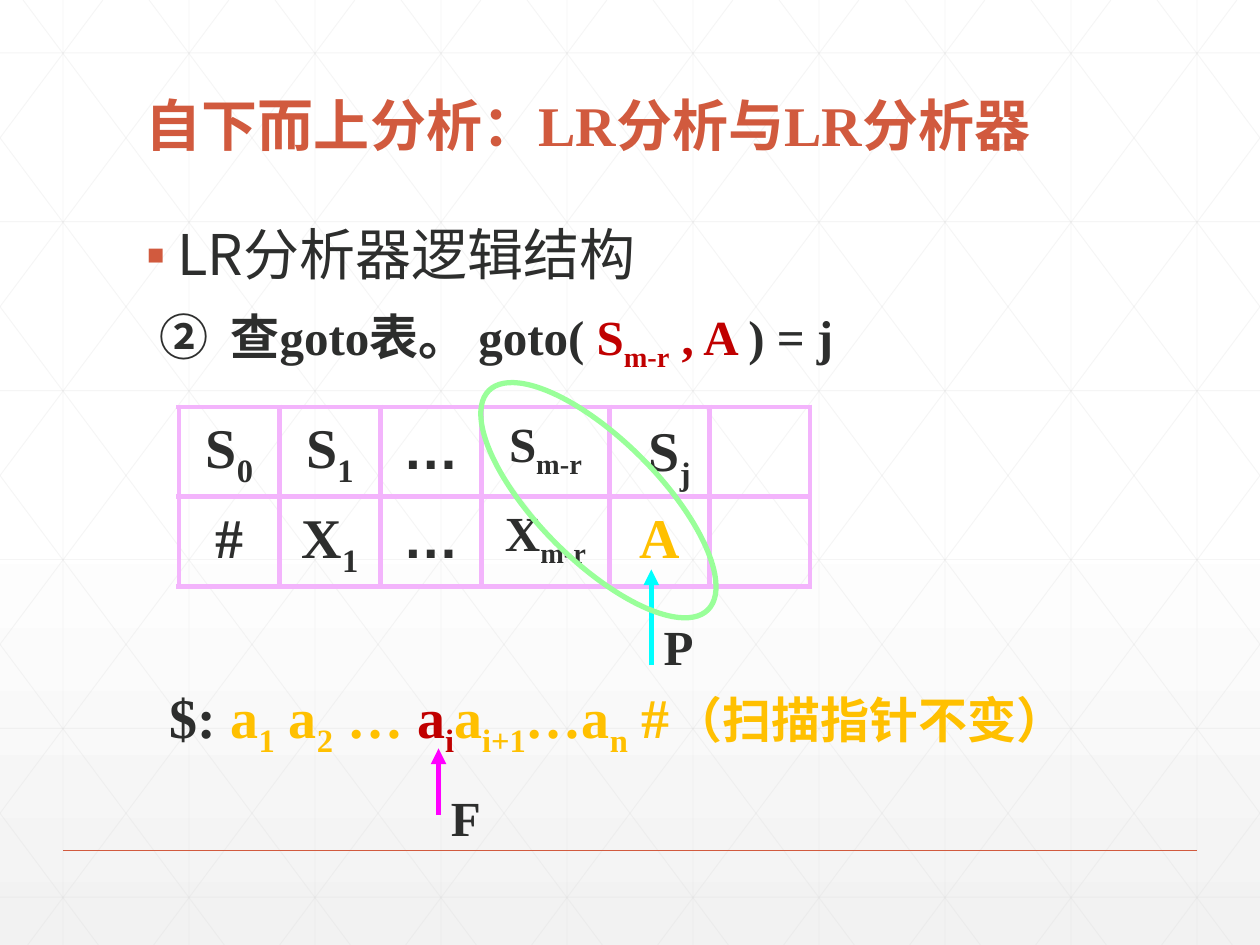
import pptx
import pptx.util
import pptx.dml.color
import pptx.enum.text
import pptx.enum.shapes
import pptx.oxml.ns
import pptx.oxml.xmlchemy

Pt = pptx.util.Pt
ALIGN = pptx.enum.text.PP_ALIGN
ANCHOR = pptx.enum.text.MSO_ANCHOR
WIDE, HIGH = 720, 540

THEME = {
    "ink": "2D2E2D", "rust": "D15A3E", "gold": "FFC000", "red": "C00000",
    "grid": "D9D9D9", "pink": "F3B4FC", "cyan": "00FFFF", "rose": "FF00FF",
    "lime": "99FF99", "white": "FFFFFF", "mist": "F2F2F2",
    "serif": "Times New Roman", "sans": "Noto Sans CJK SC", "dots": "Arial",
    "big": 32, "mid": 28,
}

# Run flags: each changes part of the base style
BASE = {"size": "big", "color": "ink", "name": "serif", "bold": True, "sub": False}
FLAGS = {
    "mid": {"size": "mid"}, "sub": {"sub": True}, "light": {"bold": False},
    "sans": {"name": "sans"}, "dots": {"name": "dots"},
    "gold": {"color": "gold"}, "red": {"color": "red"}, "rust": {"color": "rust"},
}

# Content: runs are (text, flags)
TITLE = [("自下而上分析：LR分析与LR分析器", "rust")]
POINT = [("LR分析器逻辑结构", "sans light")]
STEP = [("②  ", "mid"), ("查", "mid sans"), ("goto", "mid"), ("表", "mid sans"),
        ("。 goto( ", "mid"), ("S", "mid red"), ("m-r", "mid red sub"),
        (" , A ", "mid red"), (") = j", "mid")]
INPUT = [("$: ", ""), ("a", "gold"), ("1", "gold sub"), (" a", "gold"),
         ("2", "gold sub"), (" … ", "gold"), ("a", "red"), ("i", "red sub"),
         ("a", "gold"), ("i+1", "gold sub"), ("…a", "gold"), ("n", "gold sub"),
         (" #\t", "gold"), ("（扫描指针不变）", "gold mid")]
DOTS = [("…", "dots")]
STACK = [
    [[("S", ""), ("0", "sub")], [(" S", ""), ("1", "sub")], DOTS,
     [("S", "mid"), ("m-r", "mid sub")], [], []],
    [[("#", "")], [("X", ""), ("1", "sub")], DOTS,
     [("X", "mid"), ("m-r", "mid sub")], [("A", "gold")], []],
]
COLS = [57.6, 57.6, 57.6, 73.4, 56.9, 57.6]
ROW = 51.2

TIGHT = (7.2, 0.7, 7.2, 0)
LOW = (7.2, 6.5, 7.2, 0.7)
PLAIN = (7.2, 3.6, 7.2, 3.6)

# Text boxes: runs, place, insets, paragraph format
BOXES = [
    (TITLE, (76.3, 39.6, 567.4, 54.7), PLAIN, {"line_spacing": 0.9}),
    (POINT, (76.3, 126, 567.4, 60), PLAIN, {"line_spacing": 0.9, "space_before": Pt(18)}),
    (INPUT, (90, 389.5, 617.8, 39.6), TIGHT, {}),
    ([("F", "mid")], (250.6, 443.5, 40.3, 41), LOW, {}),
    ([("P", "mid")], (372.2, 345.6, 40.3, 41), LOW, {}),
    (STEP, (84.2, 174.2, 616.3, 34.6), TIGHT, {}),
    ([("S", ""), ("j", "sub")], (363.6, 231.1, 54, 46.1), LOW, {}),
]
# Pointers: x, tail y, tip y, colour
ARROWS = [(250.6, 465.8, 427.7, "rose"), (372.2, 380.2, 325.4, "cyan")]


def rgb(key):
    return pptx.dml.color.RGBColor.from_string(THEME[key])


def node(home, tag, **attrs):
    kid = pptx.oxml.xmlchemy.OxmlElement(tag)
    for key, val in attrs.items():
        kid.set(key, str(val))
    home.append(kid)
    return kid


def put(part, vals):
    for key, val in vals.items():
        setattr(part, key, val)


def write(para, runs):
    for text, flags in runs:
        look = dict(BASE)
        for flag in flags.split():
            look.update(FLAGS[flag])
        run = para.add_run()
        run.text = text
        put(run.font, {"size": Pt(THEME[look["size"]]), "bold": look["bold"],
                       "name": THEME[look["name"]]})
        run.font.color.rgb = rgb(look["color"])
        props = run.font._element
        node(props, "a:ea", typeface=THEME["sans"])
        if look["sub"]:
            props.set("baseline", "-25000")


def inset(part, sides):
    names = ("margin_left", "margin_top", "margin_right", "margin_bottom")
    put(part, {name: Pt(side) for name, side in zip(names, sides)})


def box(slide, runs, place, sides, style):
    shape = slide.shapes.add_textbox(*map(Pt, place))
    frame = shape.text_frame
    frame.word_wrap = True
    inset(frame, sides)
    put(frame.paragraphs[0], style)
    write(frame.paragraphs[0], runs)
    return shape


def rule(slide, ends, color, width, clear=None, tip=False):
    line = slide.shapes.add_connector(
        pptx.enum.shapes.MSO_CONNECTOR.STRAIGHT, *map(Pt, ends))
    line.line.color.rgb = rgb(color)
    line.line.width = Pt(width)
    stroke = line.line._get_or_add_ln()
    if clear:
        tint = stroke.find(".//" + pptx.oxml.ns.qn("a:srgbClr"))
        node(tint, "a:alpha", val=clear * 1000)
    if tip:
        node(stroke, "a:tailEnd", type="triangle")
    node(line._element.spPr, "a:effectLst")


def grid(slide):
    lines = [(x, 0, x, HIGH) for x in range(36, WIDE, 72)]
    lines += [(0, 30.2 + 96.5 * i, WIDE, 30.2 + 96.5 * i) for i in range(6)]
    run = 403
    slope = HIGH / run
    for i in range(-5, 10):
        start = 13.2 + 72 * i
        left, right = max(start, 0), min(start + run, WIDE)
        top, base = (left - start) * slope, (right - start) * slope
        lines += [(left, top, right, base), (WIDE - left, top, WIDE - right, base)]
    for ends in lines:
        rule(slide, ends, "grid", 0.5, clear=25)


def stack(slide):
    place = (102.2, 232.6, sum(COLS), ROW * len(STACK))
    table = slide.shapes.add_table(len(STACK), len(COLS), *map(Pt, place)).table
    put(table, {"first_row": False, "horz_banding": False})
    for col, width in zip(table.columns, COLS):
        col.width = Pt(width)
    for r, row in enumerate(STACK):
        table.rows[r].height = Pt(ROW)
        for c, runs in enumerate(row):
            cell = table.cell(r, c)
            inset(cell, LOW)
            para = cell.text_frame.paragraphs[0]
            left = runs and runs[0][0].startswith(" ")
            para.alignment = ALIGN.LEFT if left else ALIGN.CENTER
            write(para, runs)
            props = cell._tc.get_or_add_tcPr()
            for side in "LRTB":
                edge = node(props, "a:ln" + side, w=Pt(3))
                node(node(edge, "a:solidFill"), "a:srgbClr", val=THEME["pink"])
            node(props, "a:noFill")


def main():
    deck = pptx.Presentation()
    put(deck, {"slide_width": Pt(WIDE), "slide_height": Pt(HIGH)})
    slide = deck.slides.add_slide(deck.slide_layouts[6])

    # Backdrop: soft fade, faint grid, foot rule
    fill = slide.background.fill
    fill.gradient()
    fill.gradient_angle = 270
    for stop, (spot, key) in zip(fill.gradient_stops, [(0.53, "white"), (1, "mist")]):
        stop.position = spot
        stop.color.rgb = rgb(key)
    grid(slide)
    rule(slide, (36, 486, 684, 486), "rust", 1)

    # Stack table, pointers and text
    stack(slide)
    for x, tail, top, color in ARROWS:
        rule(slide, (x, tail, x, top), color, 3, tip=True)
    title, point, *rest = [box(slide, *item) for item in BOXES]
    title.text_frame.vertical_anchor = ANCHOR.BOTTOM

    # Square bullet
    props = point.text_frame.paragraphs[0]._p.get_or_add_pPr()
    props.set("marL", str(Pt(18)))
    props.set("indent", str(-Pt(18)))
    node(node(props, "a:buClr"), "a:srgbClr", val=THEME["rust"])
    node(props, "a:buFont", typeface=THEME["dots"])
    node(props, "a:buChar", char="▪")

    # Ring around the looked-up pair
    ring = slide.shapes.add_shape(pptx.enum.shapes.MSO_SHAPE.OVAL,
                                  *map(Pt, (253.4, 251.3, 177.1, 69.1)))
    ring.rotation = 45
    ring.shadow.inherit = False
    ring.fill.background()
    ring.line.color.rgb = rgb("lime")
    ring.line.width = Pt(3)
    deck.save("out.pptx")


if __name__ == "__main__":
    main()
